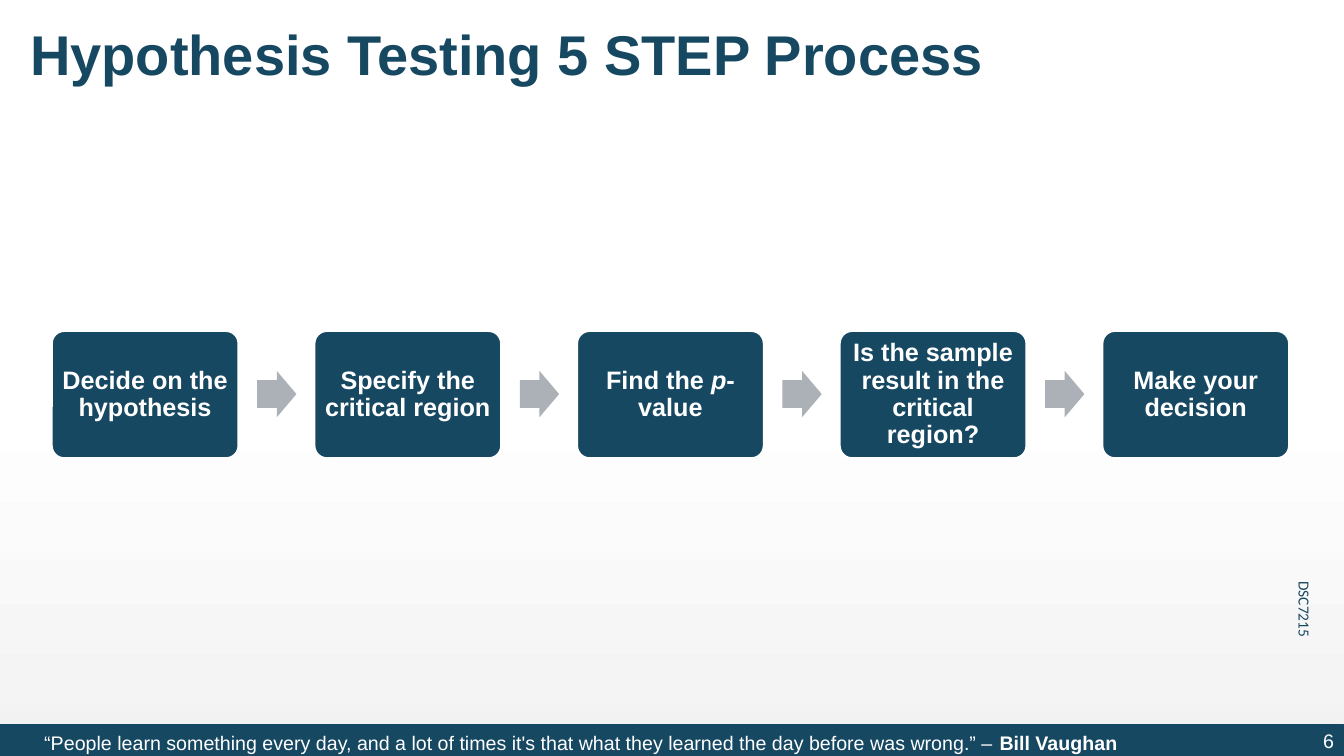
"""Build the hypothesis testing process slide."""
import dataclasses

import pptx
import pptx.dml.color
import pptx.enum.shapes
import pptx.enum.text
import pptx.shapes.autoshape
import pptx.slide
import pptx.text.text
import pptx.util

Inches = pptx.util.Inches
Pt = pptx.util.Pt
Color = pptx.dml.color.RGBColor
Align = pptx.enum.text.PP_ALIGN
Kind = pptx.enum.shapes.MSO_SHAPE

NAVY = Color(0x17, 0x48, 0x62)
GRAY = Color(0xAC, 0xB1, 0xB7)
PALE = Color(0xF2, 0xF2, 0xF2)
WHITE = Color(0xFF, 0xFF, 0xFF)


@dataclasses.dataclass
class Run:
    text: str
    bold: bool | None = None
    slant: bool | None = None


@dataclasses.dataclass
class Box:
    left: float
    top: float
    width: float
    height: float

    def place(self) -> tuple[int, int, int, int]:
        return (Inches(self.left), Inches(self.top),
                Inches(self.width), Inches(self.height))


@dataclasses.dataclass
class Style:
    size: float
    color: Color = WHITE
    align: Align = Align.LEFT
    bold: bool = False
    face: str = "Arial"
    space: float | None = None
    inset: tuple[float, float] = (0.1, 0.05)


STEPS = [
    [Run("Decide on the hypothesis")],
    [Run("Specify the critical region")],
    [Run("Find the "), Run("p", slant=True), Run("-value")],
    [Run("Is the sample result in the critical region?")],
    [Run("Make your decision")],
]
QUOTE = [
    Run("“People learn something every day, and a lot of times it's that "
        "what they learned the day before was wrong.” – "),
    Run("Bill Vaughan", bold=True),
]
FIRST, LAST = 0.51, 10.93
PITCH = (LAST - FIRST) / (len(STEPS) - 1)
STEP = Style(18, align=Align.CENTER, bold=True, space=0.9, inset=(0.07, 0.07))


def write(frame: pptx.text.text.TextFrame, runs: list[Run], style: Style) -> None:
    frame.word_wrap = True
    frame.auto_size = pptx.enum.text.MSO_AUTO_SIZE.NONE
    frame.vertical_anchor = pptx.enum.text.MSO_ANCHOR.MIDDLE
    side, edge = style.inset
    frame.margin_left = frame.margin_right = Inches(side)
    frame.margin_top = frame.margin_bottom = Inches(edge)
    para = frame.paragraphs[0]
    para.alignment = style.align
    para.line_spacing = style.space
    para.font.size = Pt(style.size)
    para.font.name = style.face
    para.font.bold = style.bold
    para.font.color.rgb = style.color
    for item in runs:
        run = para.add_run()
        run.text = item.text
        run.font.bold = item.bold
        run.font.italic = item.slant


def label(slide: pptx.slide.Slide, box: Box, runs: list[Run], style: Style,
          turn: float = 0) -> None:
    text = slide.shapes.add_textbox(*box.place())
    text.rotation = turn
    write(text.text_frame, runs, style)


def block(slide: pptx.slide.Slide, kind: Kind, box: Box, fill: Color,
          line: Color | None = None, width: float = 0
          ) -> pptx.shapes.autoshape.Shape:
    shape = slide.shapes.add_shape(kind, *box.place())
    shape.shadow.inherit = False
    shape.fill.solid()
    shape.fill.fore_color.rgb = fill
    if line is None:
        shape.line.fill.background()
    else:
        shape.line.color.rgb = line
        shape.line.width = Pt(width)
    return shape


def shade(slide: pptx.slide.Slide) -> None:
    fill = slide.background.fill
    fill.gradient()
    fill.gradient_angle = 270
    for stop, spot, color in zip(fill.gradient_stops, (0.53, 1), (WHITE, PALE)):
        stop.position = spot
        stop.color.rgb = color


def flow(slide: pptx.slide.Slide) -> None:
    for index, runs in enumerate(STEPS):
        left = FIRST + index * PITCH
        card = block(slide, Kind.ROUNDED_RECTANGLE,
                     Box(left, 3.28, 1.86, 1.27), NAVY, WHITE, 2)
        card.adjustments[0] = 0.1
        write(card.text_frame, runs, STEP)
        if index < len(STEPS) - 1:
            arrow = block(slide, Kind.RIGHT_ARROW,
                          Box(left + 2.04, 3.68, 0.39, 0.46), GRAY)
            arrow.adjustments[0] = 0.6
            arrow.adjustments[1] = 0.5


def main() -> None:
    deck = pptx.Presentation()
    deck.slide_width = Inches(13.33)
    deck.slide_height = Inches(7.5)
    slide = deck.slides.add_slide(deck.slide_layouts[5])
    shade(slide)

    block(slide, Kind.RECTANGLE, Box(-0.02, 7.19, 13.35, 0.31), NAVY, NAVY, 0.75)
    label(slide, Box(12.5, 5.89, 0.88, 0.31), [Run("DSC7215")],
          Style(11, NAVY, Align.CENTER, face="Calibri", inset=(0.07, 0.04)), 90)

    title = slide.shapes.title
    title.left, title.top, title.width, title.height = Box(
        0.2, 0.11, 10.62, 0.92).place()
    write(title.text_frame, [Run("Hypothesis Testing 5 STEP Process")],
          Style(40, NAVY, bold=True, space=0.9))

    label(slide, Box(12.63, 7.19, 0.7, 0.31), [Run("6")],
          Style(14, align=Align.RIGHT))
    label(slide, Box(0.34, 7.23, 12.58, 0.27), QUOTE, Style(14, inset=(0.1, 0.1)))
    flow(slide)
    deck.save("out.pptx")


if __name__ == "__main__":
    main()
